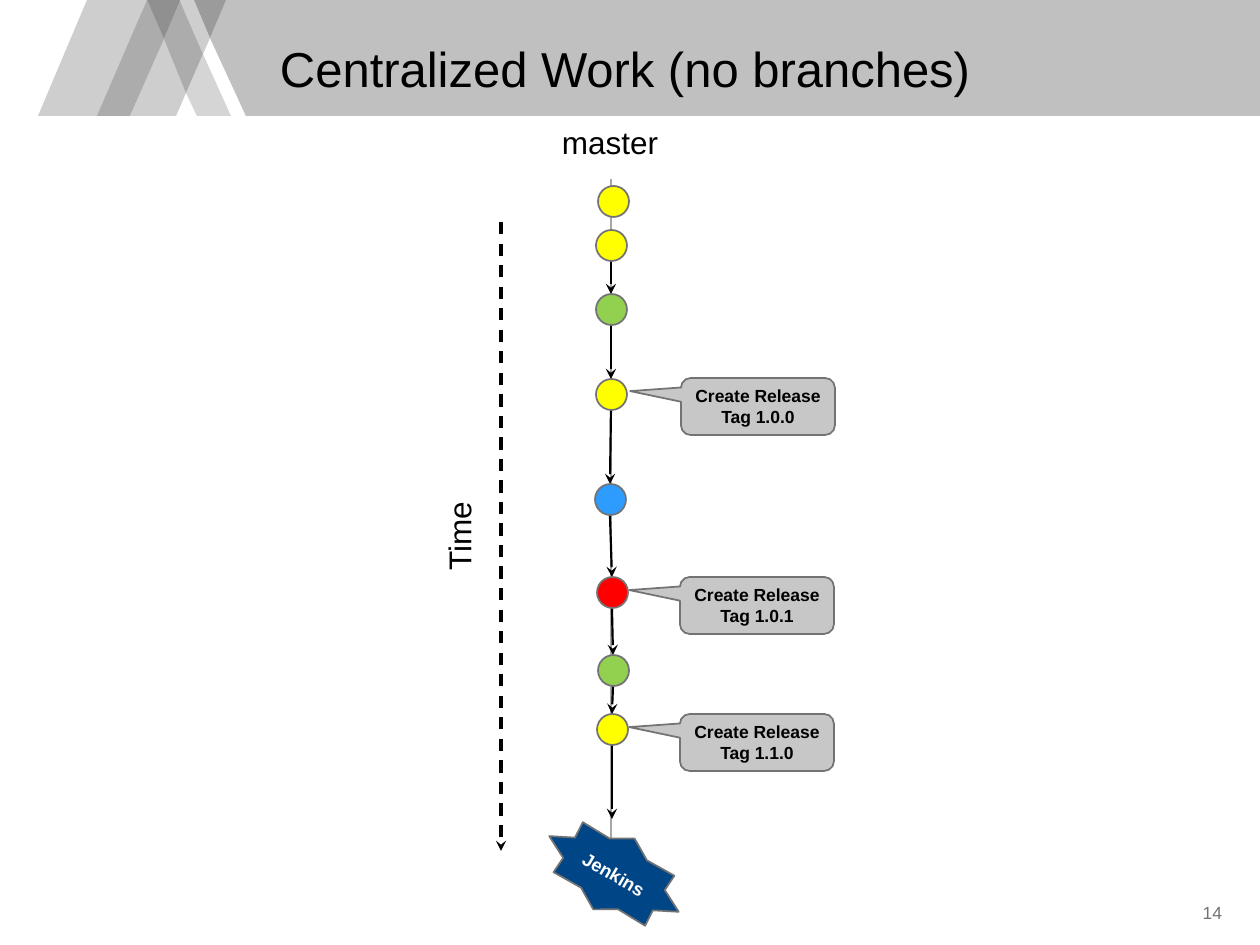
from dataclasses import dataclass
from lxml import etree
from pptx import Presentation
from pptx import util as u
from pptx.dml.color import RGBColor
from pptx.enum import dml, shapes, text
from pptx.oxml.ns import qn

PX = 7257  # EMU per px, 126 px to the inch


@dataclass(frozen=True)
class Theme:
    font: str = "Arial"
    black: str = "000000"
    white: str = "FFFFFF"
    outline: str = "737374"
    guide: str = "A6A6A6"
    callout: str = "C7C7C7"
    navy: str = "004686"
    yellow: str = "FFFF00"
    green: str = "92D050"
    blue: str = "2E9BFF"
    red: str = "FF0000"
    band: str = "C1C0C0"
    pale: str = "D5D5D5"
    light: str = "CECECE"
    mid: str = "ACACAC"
    dark: str = "9B9B9B"
    darkest: str = "909090"
    title: float = 28
    label: float = 18
    star: float = 10.5
    small: float = 10


T = Theme()
A, ANCHOR = text.PP_ALIGN, text.MSO_ANCHOR
S = shapes.MSO_SHAPE


def paint(sp, fill, line=None):
    sp.shadow.inherit = False
    sp.fill.solid()
    sp.fill.fore_color.rgb = RGBColor.from_string(fill)
    if line:
        sp.line.color.rgb = RGBColor.from_string(line)
        sp.line.width = u.Pt(1)
    else:
        sp.line.fill.background()


def write(sp, words, size, color=T.black, bold=False, align=A.LEFT,
          anchor=ANCHOR.TOP, inset=(13, 6, 13, 6), wrap=True):
    tf = sp.text_frame
    tf.word_wrap = wrap
    tf.vertical_anchor = anchor
    tf.margin_left, tf.margin_top, tf.margin_right, tf.margin_bottom = (v * PX for v in inset)
    p = tf.paragraphs[0]
    p.alignment = align
    r = p.add_run()
    r.text = words
    r.font.name, r.font.size, r.font.bold = T.font, u.Pt(size), bold
    r.font.color.rgb = RGBColor.from_string(color)


prs = Presentation()
prs.slide_width, prs.slide_height = u.Inches(10), u.Inches(7.5)
s = prs.slides.add_slide(prs.slide_layouts[6])

# Header band and slanted stripes
header = [
    (T.band, [(210, 38), (246, 116), (1260, 116), (1260, 0), (226, 0)]),
    (T.pale, [(203, 54), (186, 93), (197, 116), (231, 116)]),
    (T.light, [(194, 0), (180, 0), (180, 1), (203, 54), (210, 38)]),
    (T.light, [(164, 39), (130, 116), (176, 116), (186, 93)]),
    (T.light, [(147, 0), (87, 0), (38, 116), (98, 116)]),
    (T.dark, [(226, 0), (194, 0), (210, 38)]),
    (T.mid, [(180, 1), (164, 39), (186, 93), (203, 54)]),
    (T.mid, [(147, 0), (97, 116), (130, 116), (164, 39)]),
    (T.darkest, [(180, 0), (147, 0), (164, 39), (180, 1)]),
]
for color, points in header:
    outline = s.shapes.build_freeform(*points[0], scale=PX)
    outline.add_line_segments(points[1:], close=True)
    paint(outline.convert_to_shape(), color)

# Title, time label and slide number
title = s.shapes.add_textbox(267 * PX, 32 * PX, 725 * PX, 72 * PX)
write(title, "Centralized Work (no branches)", T.title, wrap=False)
time = s.shapes.add_textbox(427 * PX, 476 * PX, 63 * PX, 101 * PX)
write(time, "Time", T.label)
time.element.txBody.bodyPr.set("vert", "vert270")
number = s.shapes.add_textbox(1124 * PX, 898 * PX, 101 * PX, 32 * PX)
write(number, "14", T.small, color=T.outline, align=A.RIGHT,
      anchor=ANCHOR.MIDDLE, inset=(0, 0, 3, 3))

# Branch label
branch = s.shapes.add_shape(S.RECTANGLE, 542 * PX, 117 * PX, 136 * PX, 50 * PX)
paint(branch, T.white)
write(branch, "master", T.label, align=A.CENTER)

# Lines: branch guide, time arrow, and an arrow from each commit to the next
D = 31  # commit diameter
commits = [  # centre x, top, colour
    (613, 186, T.yellow), (611, 230, T.yellow), (611, 294, T.green),
    (611, 379, T.yellow), (610, 484, T.blue), (612, 577, T.red),
    (613, 655, T.green), (612, 714, T.yellow),
]
stops = [(x, y) for x, y, _ in commits[1:]] + [(612, 819)]
lines = [
    ((611, 179), (611, 874), T.guide, 0.75, False, False),
    ((501, 222), (501, 851), T.black, 1.75, True, True),
]
lines += [((x, y + D), end, T.black, 1.25, False, True)
          for (x, y), end in zip(stops, stops[1:])]
for start, end, color, width, dashed, arrow in lines:
    c = s.shapes.add_connector(shapes.MSO_CONNECTOR.STRAIGHT,
                               *(v * PX for v in start + end))
    c.line.color.rgb = RGBColor.from_string(color)
    c.line.width = u.Pt(width)
    if dashed:
        c.line.dash_style = dml.MSO_LINE.DASH
    spPr = c.element.spPr
    if arrow:
        etree.SubElement(spPr.find(qn("a:ln")), qn("a:tailEnd"), type="stealth")
    etree.SubElement(spPr, qn("a:effectLst"))

# Commits
for x, y, color in commits:
    sp = s.shapes.add_shape(S.OVAL, (x - D // 2) * PX, y * PX, D * PX, D * PX)
    paint(sp, color, T.outline)

# Release callouts
boxed = dict(bold=True, align=A.CENTER, anchor=ANCHOR.MIDDLE, inset=(5, 5, 5, 5))
for x, y, tag in [(681, 378, "1.0.0"), (680, 577, "1.0.1"), (680, 714, "1.1.0")]:
    sp = s.shapes.add_shape(S.ROUNDED_RECTANGULAR_CALLOUT,
                            x * PX, y * PX, 154 * PX, 57 * PX)
    for i, value in enumerate((-0.83, -0.27, 0.17)):
        sp.adjustments[i] = value
    paint(sp, T.callout, T.outline)
    write(sp, f"Create Release Tag {tag}", T.small, **boxed)

# Build server star
star = s.shapes.add_shape(S.STAR_8_POINT, 539 * PX, 833 * PX, 150 * PX, 82 * PX)
star.rotation = 30.3
paint(star, T.navy, T.outline)
write(star, "Jenkins", T.star, color=T.white, **boxed)

prs.save("out.pptx")
